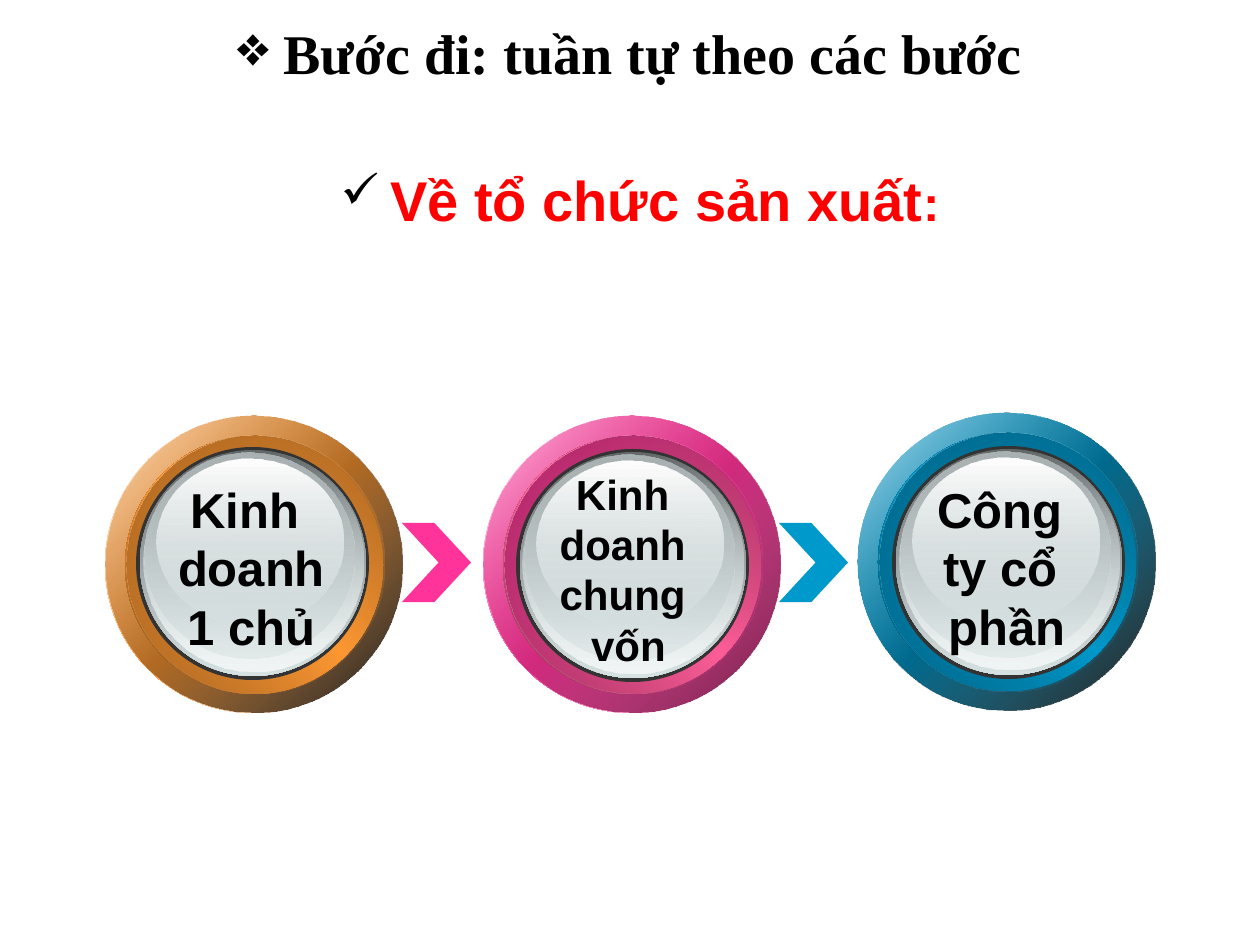
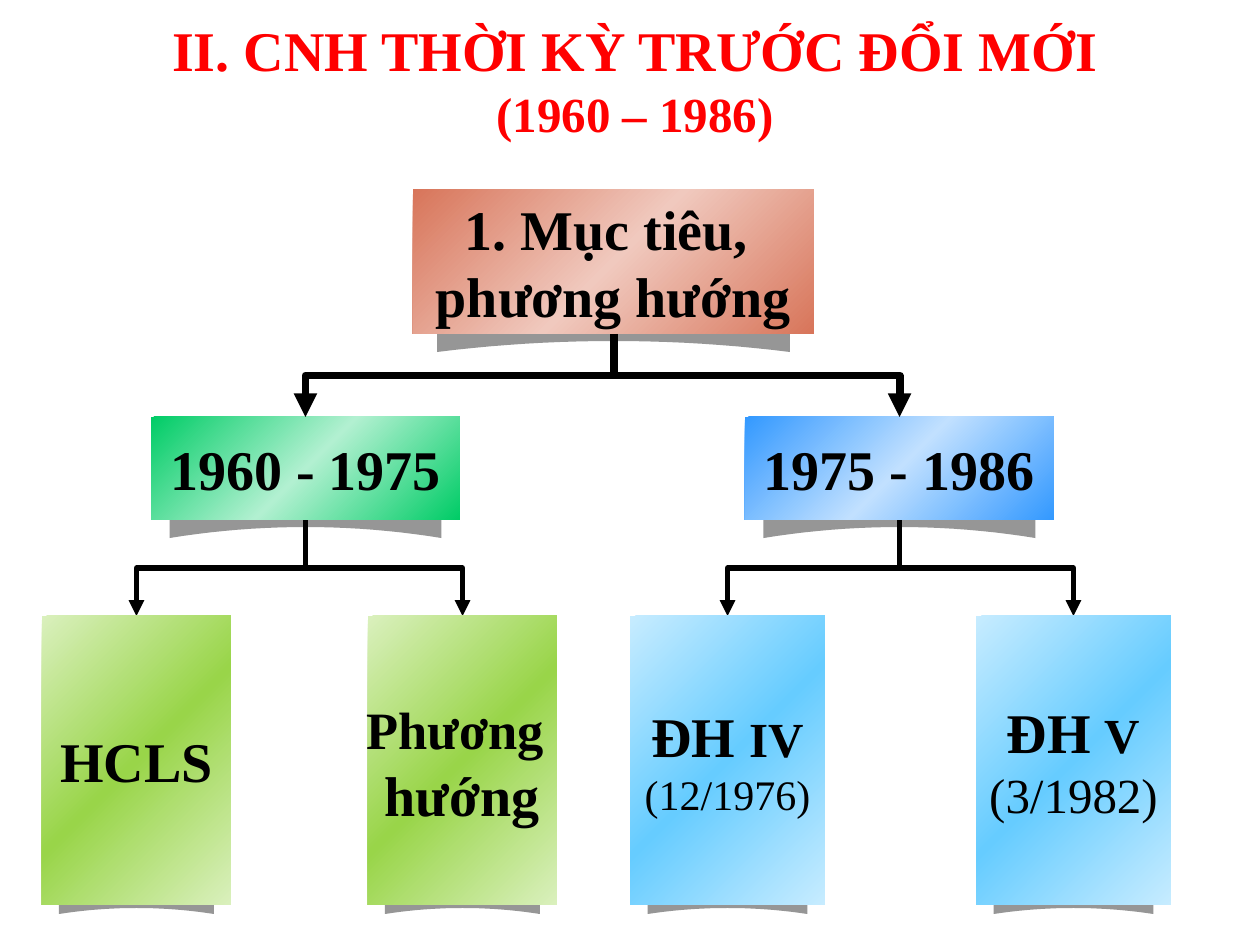
import pptx
import pptx.util
import pptx.dml.color
import pptx.enum.shapes
import pptx.enum.text
import pptx.oxml
from lxml import etree

SHAPES = pptx.enum.shapes.MSO_SHAPE
ANCHOR = pptx.enum.text.MSO_ANCHOR
FIT = pptx.enum.text.MSO_AUTO_SIZE
NS = "http://schemas.openxmlformats.org/drawingml/2006/main"
SERIF, SANS, BODY = "Times New Roman", "Arial", "Calibri"

COLORS = {
    "black": "000000", "white": "FFFFFF", "red": "FF0000",
    "orange": "FF9933", "pink": "FF3399", "rose": "FF6699", "blue": "0099CC",
    "orange_dark": "8A531C", "rose_dark": "8A3753", "blue_dark": "00536E",
    "orange_mid": "A26120", "pink_mid": "A22061", "blue_mid": "006182",
    "plum": "761847", "charcoal": "333333", "steel": "636869",
    "silver": "AAB2B3", "mist": "D6E1E2", "frost": "F1F5F5",
    "shadow": "969696", "clay": "D8755A", "clay_light": "F0C9BE",
    "green": "00CC66", "green_light": "B2F0D1",
    "azure": "3399FF", "azure_light": "C1E0FF",
    "lime": "99D549", "lime_light": "DAF0BD",
    "sky": "66CCFF", "sky_light": "C7ECFF",
}


def px(n):
    return pptx.util.Emu(round(n * 914400 / 126))


def rgb(name):
    return pptx.dml.color.RGBColor.from_string(COLORS[name])


def sub(parent, tag, **attrs):
    return etree.SubElement(parent, f"{{{NS}}}{tag}", attrs)


def plain(sp, color):
    sp.shadow.inherit = False
    sp.line.fill.background()
    sp.fill.solid()
    sp.fill.fore_color.rgb = rgb(color)
    return sp


def gradient(sp, angle, *stops):
    """Fill with evenly spaced stops, each a colour name and an opacity in percent."""
    plain(sp, stops[0][0])
    old = sp._element.spPr.find(f"{{{NS}}}solidFill")
    grad = etree.Element(f"{{{NS}}}gradFill", rotWithShape="1")
    gs_list = sub(grad, "gsLst")
    for i, (color, opacity) in enumerate(stops):
        gs = sub(gs_list, "gs", pos=str(100000 * i // (len(stops) - 1)))
        clr = sub(gs, "srgbClr", val=COLORS[color])
        if opacity < 100:
            sub(clr, "alpha", val=str(opacity * 1000))
    sub(grad, "lin", ang=str(angle * 60000), scaled="0")
    old.getparent().replace(old, grad)


def add_run(p, text, size, font=SERIF, color="black", bold=True):
    r = p.add_run()
    r.text = text
    r.font.size = pptx.util.Pt(size)
    r.font.name = font
    r.font.bold = bold
    r.font.color.rgb = rgb(color)


def center(p):
    p.alignment = pptx.enum.text.PP_ALIGN.CENTER


def add_bullet(p, char):
    pPr = p._p.get_or_add_pPr()
    pPr.set("marL", "0")
    pPr.set("indent", "0")
    clr = sub(pPr, "buClr")
    sub(clr, "srgbClr", val=COLORS["black"])
    sub(pPr, "buChar", char=char)


def write_lines(tf, lines, font):
    """Write one centred paragraph per line; a line is a list of (text, size, bold)."""
    tf.word_wrap = False
    for i, line in enumerate(lines):
        p = tf.paragraphs[0] if i == 0 else tf.add_paragraph()
        center(p)
        for text, size, bold in line:
            add_run(p, text, size, font, bold=bold)


def heading(sp, box):
    """Place a heading and return its centred first paragraph."""
    sp.left, sp.top, sp.width, sp.height = map(px, box)
    tf = sp.text_frame
    tf.word_wrap = True
    tf.auto_size = FIT.NONE
    tf.vertical_anchor = ANCHOR.MIDDLE
    center(tf.paragraphs[0])
    return tf.paragraphs[0]


def ring(s, x, y, palette, face, label_box, lines, size):
    """Glossy ring button; face and label_box are relative to its top left corner."""
    main, edge, rim, inner, outer_end = palette
    grp = s.shapes.add_group_shape()

    def oval(dx, dy, w, h):
        return grp.shapes.add_shape(SHAPES.OVAL, px(x + dx), px(y + dy), px(w), px(h))

    fx, fy = face
    gradient(oval(0, 0, 297, 297), 45, ("white", 100), (main, 100), ("white", 100))
    gradient(oval(0, 0, 297, 297), 45, (main, 32), outer_end)
    gradient(oval(20, 20, 258, 258), 315, (edge, 100), (rim, 100), (edge, 100))
    gradient(oval(21, 20, 258, 258), 45, (inner, 100), (main, 0))
    plain(oval(fx, fy, 233, 233), "charcoal")
    for dx, dy, w, h, start, end in (
        (4, 3, 226, 226, ("steel", 100), ("mist", 100)),
        (7, 4, 220, 220, ("mist", 0), ("frost", 100)),
        (9, 6, 209, 205, ("silver", 100), ("mist", 48)),
        (21, 12, 186, 166, ("white", 100), ("mist", 38)),
    ):
        gradient(oval(fx + dx, fy + dy, w, h), 90, start, end)

    dx, dy, w, h = label_box
    tb = grp.shapes.add_textbox(px(x + dx), px(y + dy), px(w), px(h))
    write_lines(tb.text_frame, [[(line, size, True)] for line in lines], SANS)
    tb.text_frame.auto_size = FIT.SHAPE_TO_FIT_TEXT


def chevron(s, x, y, color):
    sp = s.shapes.add_shape(SHAPES.CHEVRON, px(x), px(y), px(69), px(79))
    sp.adjustments[0] = 0.53
    plain(sp, color)


def curved_shadow(grp, x, y, w, drop, sag):
    """Shadow below a block whose bottom edge is at y, arched along a parabola."""
    bottom, half, steps = y + drop, w / 2, 20
    arc = []
    for i in range(steps + 1):
        t = 1 - 2 * i / steps
        arc.append((px(x + half + t * half), px(bottom - sag * (1 - t * t))))
    top = [(px(x), px(y - drop)), (px(x + half), px(y - 1.4 * drop)),
           (px(x + w), px(y - drop))]
    fb = grp.shapes.build_freeform(*arc[0], scale=1.0)
    fb.add_line_segments(arc[1:] + top, close=True)
    plain(fb.convert_to_shape(), "shadow")


def block(s, box, ends, middle, lines, shadow):
    x, y, w, h = box
    share, drop, sag = shadow
    grp = s.shapes.add_group_shape()
    curved_shadow(grp, x + w * (1 - share) / 2, y + h, w * share, drop, sag)
    sp = grp.shapes.add_shape(SHAPES.RECTANGLE, *map(px, box))
    gradient(sp, 45, (ends, 100), (middle, 100), (ends, 100))
    sp.text_frame.vertical_anchor = ANCHOR.MIDDLE
    write_lines(sp.text_frame, lines, SERIF)


def branch(s, parent, child, width):
    """Elbow arrow from the bottom centre of one box to the top centre of another."""
    x1, y1 = parent[0] + parent[2] / 2, parent[1] + parent[3]
    x2, y2 = child[0] + child[2] / 2, child[1]
    long, wide = y2 - y1, abs(x2 - x1)
    left, top = (x1 + x2 - long) / 2, (y1 + y2 - wide) / 2
    c = s.shapes.add_connector(pptx.enum.shapes.MSO_CONNECTOR.ELBOW, px(left), px(top),
                               px(left + long), px(top + wide))
    c.line.width = pptx.util.Pt(width)
    c.line.color.rgb = rgb("black")
    spPr = c._element.spPr
    xfrm = spPr.find(f"{{{NS}}}xfrm")
    xfrm.set("rot", str((90 if x2 < x1 else 270) * 60000))
    if x2 > x1:
        xfrm.set("flipH", "1")
    sub(c.line._get_or_add_ln(), "tailEnd", type="triangle")
    sub(spPr, "effectLst")


def production_slide(prs):
    s = prs.slides.add_slide(prs.slide_layouts[5])
    p = heading(s.shapes.title, (73, 136, 1134, 126))
    add_bullet(p, "✓")
    add_run(p, " ", 28, BODY, bold=False)
    add_run(p, "Về tổ chức sản xuất", 32, SANS, "red")
    add_run(p, ":", 28, SANS, "red")

    chevron(s, 402, 523, "pink")
    chevron(s, 779, 523, "blue")
    ring(s, 105, 416, ("orange", "orange_dark", "orange", "orange_mid", ("black", 90)),
         (31, 31), (54, 57, 185, 189), ("Kinh ", "doanh ", "1 chủ"), 28)
    ring(s, 483, 416, ("pink", "rose_dark", "rose", "pink_mid", ("plum", 100)),
         (33, 33), (64, 46, 163, 214), ("Kinh ", "doanh ", "chung ", "vốn"), 24)
    ring(s, 858, 413, ("blue", "blue_dark", "blue", "blue_mid", ("black", 90)),
         (34, 33), (67, 60, 164, 189), ("Công ", "ty cổ ", "phần"), 28)

    p = heading(s.shapes.add_textbox(0, 0, 0, 0), (63, 0, 1134, 105))
    add_bullet(p, "❖")
    add_run(p, " Bước đi: tuần tự theo các bước", 32)


def period_slide(prs):
    s = prs.slides.add_slide(prs.slide_layouts[5])
    p = heading(s.shapes.title, (73, 0, 1124, 158))
    add_run(p, "II. CNH THỜI KỲ TRƯỚC ĐỔI MỚI", 32, color="red")
    p.add_line_break()
    add_run(p, "(1960 – 1986)", 28, color="red")

    goal = (413, 189, 401, 145)
    periods = [(x, 417, 309, 103) for x in (151, 745)]
    green_leaves = [(x, 616, 189, 289) for x in (42, 368)]
    sky_leaves = [(x, 616, 195, 289) for x in (630, 976)]
    high, low = (0.88, 18, 11), (0.82, 9, 6)

    block(s, periods[0], "green", "green_light", [[("1960 - 1975", 32, True)]], high)
    block(s, periods[1], "azure", "azure_light", [[("1975 - 1986", 32, True)]], high)
    block(s, goal, "clay", "clay_light",
          [[("1. Mục tiêu, ", 32, True)], [("phương hướng", 32, True)]], high)

    for period, leaves in zip(periods, (green_leaves, sky_leaves)):
        for leaf in leaves:
            branch(s, period, leaf, 3)
    for period in periods:
        branch(s, goal, period, 4.5)

    green_texts = (
        [[("HCLS", 32, True)]],
        [[("Phương", 30, True), (" ", 32, True)], [("hướng", 32, True)]],
    )
    sky_texts = (
        [[("ĐH ", 32, True), ("IV", 28, True)], [("(12/1976)", 24, False)]],
        [[("ĐH ", 32, True), ("V", 28, True)], [("(3/1982)", 28, False)]],
    )
    for leaf, lines in zip(green_leaves, green_texts):
        block(s, leaf, "lime_light", "lime", lines, low)
    for leaf, lines in zip(sky_leaves, sky_texts):
        block(s, leaf, "sky_light", "sky", lines, low)


def main():
    prs = pptx.Presentation()
    prs.slide_width, prs.slide_height = px(1260), px(945)
    production_slide(prs)
    period_slide(prs)
    prs.save("out.pptx")


if __name__ == "__main__":
    main()
